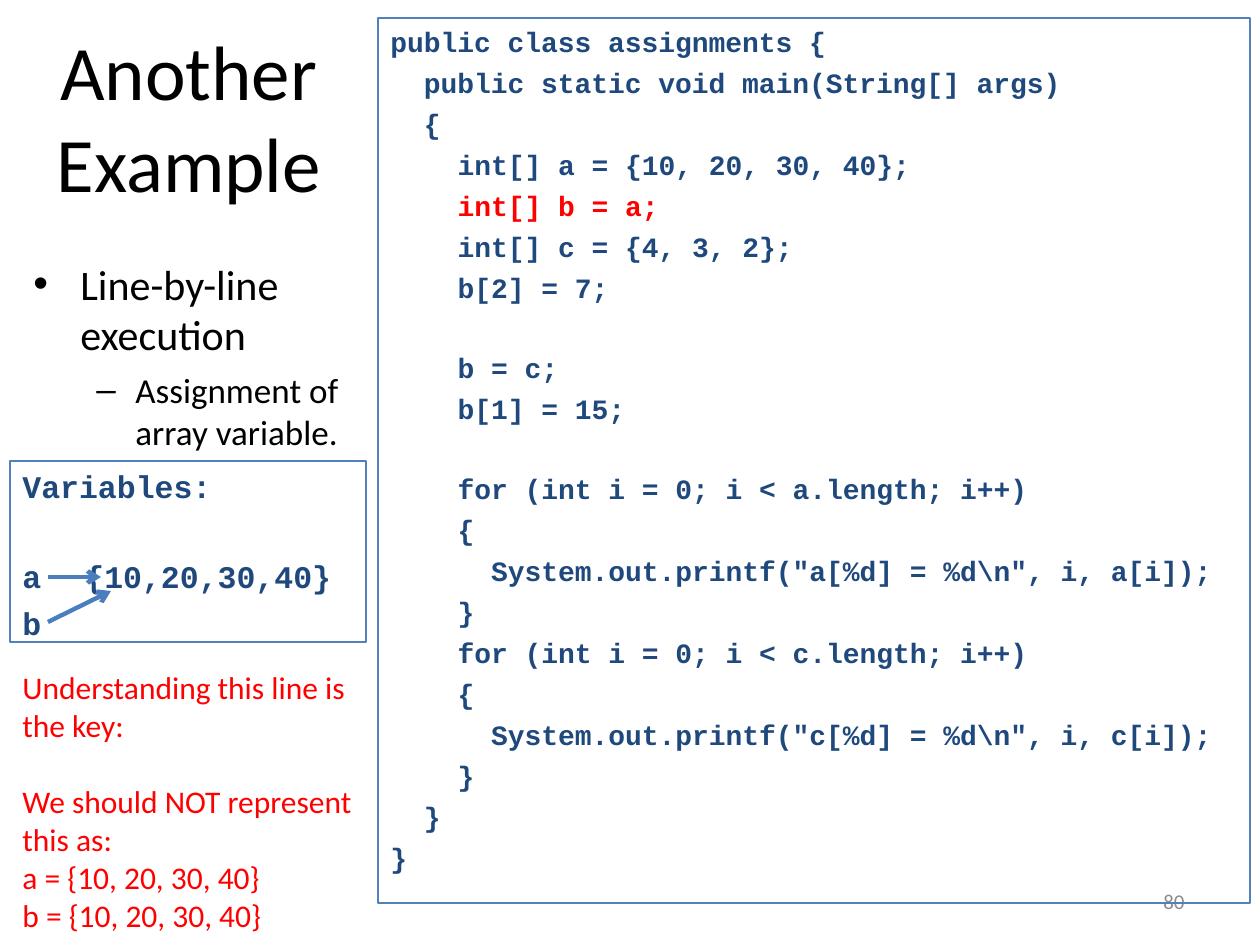
from dataclasses import dataclass

from lxml.etree import SubElement
from pptx import Presentation
from pptx.dml.color import RGBColor
from pptx.enum.shapes import MSO_CONNECTOR as Connector, MSO_SHAPE as Shape
from pptx.enum.text import MSO_ANCHOR as Anchor, PP_ALIGN as Align
from pptx.oxml.ns import qn
from pptx.util import Pt

PX = 914400 // 126


@dataclass(frozen=True)
class Theme:
    """Fonts, colours and type sizes of the slide."""
    sans: str = "Calibri"
    mono: str = "Courier New"
    black: str = "000000"
    navy: str = "1F497D"
    red: str = "FF0000"
    grey: str = "8C8C8C"
    border: str = "4F81BD"
    arrow: str = "4B7EBC"
    title: int = 44
    bullet: int = 24
    sub_bullet: int = 20
    body: int = 18
    code: int = 16
    number: int = 12
    spacing: float = 0.265   # space before, as a share of the type size
    mono_line: float = 1.133
    sans_line: float = 1.22
    mono_advance: float = 0.6


theme = Theme()
deck = Presentation()
deck.slide_width, deck.slide_height = 1260 * PX, 945 * PX
page = deck.slides.add_slide(deck.slide_layouts[6])


def add_box(left, top, width, height, framed=False, anchor=Anchor.TOP):
    """Add a wrapping text area, framed or plain, and return its text frame."""
    place = [value * PX for value in (left, top, width, height)]
    if framed:
        box = page.shapes.add_shape(Shape.RECTANGLE, *place)
        box.shadow.inherit = False
        box.fill.background()
        box.line.color.rgb = RGBColor.from_string(theme.border)
        box.line.width = Pt(0.75)
        box.text_frame.margin_bottom = 0
    else:
        box = page.shapes.add_textbox(*place)
    box.text_frame.word_wrap = True
    box.text_frame.vertical_anchor = anchor
    return box.text_frame


def add_para(frame, text, size, color, font=theme.sans, bold=False,
             align=Align.LEFT, before=0, left=0, hanging=0, bullet=None):
    """Write one paragraph, using the frame's first one while it is empty."""
    para = frame.paragraphs[0]
    if para.runs:
        para = frame.add_paragraph()
    para.alignment = align
    para.space_before = Pt(round(before, 2))
    span = para.add_run()
    span.text = text
    span.font.name, span.font.size, span.font.bold = font, Pt(size), bold
    span.font.color.rgb = RGBColor.from_string(color)
    props = para._p.get_or_add_pPr()
    props.set("marL", str(int(left)))
    props.set("indent", str(int(-hanging)))
    if bullet:
        SubElement(props, qn("a:buFont"), typeface="Arial")
        SubElement(props, qn("a:buChar"), char=bullet)
    return para


# Title, bullets and page number
title = add_box(21, 53, 336, 126, anchor=Anchor.MIDDLE)
add_para(title, "Another Example", theme.title, theme.black, align=Align.CENTER)

bullets = add_box(21, 252, 336, 640)
for text, size, mark, left, hanging in (
    ("Line-by-line execution", theme.bullet, "•", 47, 47),
    ("Assignment of array variable.", theme.sub_bullet, "–", 102, 39),
):
    add_para(bullets, text, size, theme.black, before=size * theme.spacing,
             left=left * PX, hanging=hanging * PX, bullet=mark)

number = add_box(903, 876, 294, 50, anchor=Anchor.MIDDLE)
add_para(number, "80", theme.number, theme.grey, align=Align.RIGHT)

# Program listing: nesting depth and text, None for an empty line
listing = [
    (0, "public class assignments {"),
    (1, "public static void main(String[] args)"),
    (1, "{"),
    (2, "int[] a = {10, 20, 30, 40};"),
    (2, "int[] b = a;"),
    (2, "int[] c = {4, 3, 2};"),
    (2, "b[2] = 7;"),
    None,
    (2, "b = c;"),
    (2, "b[1] = 15;"),
    None,
]
for array in "ac":
    listing += [
        (2, f"for (int i = 0; i < {array}.length; i++)"),
        (2, "{"),
        (3, f'System.out.printf("{array}[%d] = %d\\n", i, {array}[i]);'),
        (2, "}"),
    ]
listing += [(1, "}"), (0, "}")]

code = add_box(378, 18, 872, 885, framed=True)
code_gap = theme.code * theme.spacing
nesting = Pt(2 * theme.code * theme.mono_advance)
before = code_gap
for line in listing:
    if line is None:
        before += code_gap + theme.code * theme.mono_line
        continue
    depth, text = line
    color = theme.red if text == "int[] b = a;" else theme.navy
    add_para(code, text, theme.code, color, theme.mono, True,
             before=before, left=depth * nesting)
    before = code_gap

# Key remark
remark = add_box(10, 662, 357, 280)
for text, skipped in (
    ("Understanding this line is the key:", 0),
    ("We should NOT represent this as:", 1),
    ("a = {10, 20, 30, 40}", 0),
    ("b = {10, 20, 30, 40}", 0),
):
    add_para(remark, text, theme.body, theme.red,
             before=skipped * theme.body * theme.sans_line)

# Variables and their references
variables = add_box(10, 461, 356, 181, framed=True)
body_gap = theme.body * theme.spacing
value_column = Pt(4 * theme.body * theme.mono_advance)
for text, skipped in (("Variables:", 0), ("a\t{10,20,30,40}", 1), ("b", 0)):
    para = add_para(variables, text, theme.body, theme.navy, theme.mono, True,
                    before=body_gap + skipped * (body_gap + theme.body * theme.mono_line))
    tabs = SubElement(para._p.get_or_add_pPr(), qn("a:tabLst"))
    SubElement(tabs, qn("a:tab"), pos=str(int(value_column)), algn="l")

for ends in ((48, 577, 101, 577), (48, 622, 111, 591)):
    arrow = page.shapes.add_connector(Connector.STRAIGHT, *(value * PX for value in ends))
    arrow.line.color.rgb = RGBColor.from_string(theme.arrow)
    arrow.line.width = Pt(2.5)
    SubElement(arrow.line._get_or_add_ln(), qn("a:tailEnd"), type="arrow")
    SubElement(arrow._element.spPr, qn("a:effectLst"))

deck.save("out.pptx")
